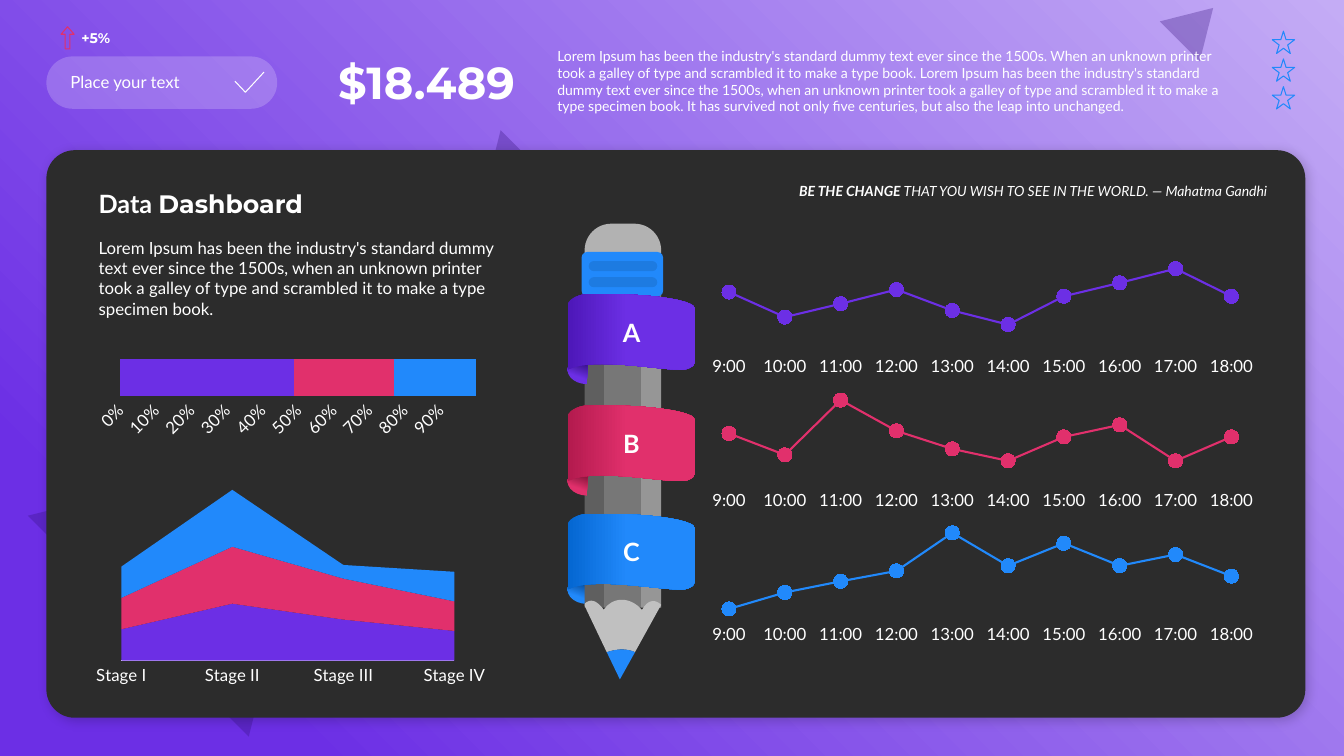
"""Build a data dashboard slide with a pencil diagram and five charts."""
import pptx
import pptx.chart.data
import pptx.dml.color
import pptx.enum.chart
import pptx.enum.shapes
import pptx.enum.text
import pptx.oxml
import pptx.oxml.ns
import pptx.util

Pt = pptx.util.Pt
SHAPES = pptx.enum.shapes.MSO_SHAPE
ALIGN = pptx.enum.text.PP_ALIGN
ANCHOR = pptx.enum.text.MSO_ANCHOR
CHARTS = pptx.enum.chart.XL_CHART_TYPE
TICKS = pptx.enum.chart.XL_TICK_MARK

WIDTH, HEIGHT = 960, 540
PURPLE, PINK, BLUE = "6C2FE5", "E1306C", "2189FB"
WHITE, BLACK, DARK, INDIGO = "FFFFFF", "000000", "2C2C2C", "330F7B"
PALETTE = [PURPLE, PINK, BLUE]

INTRO = ("Lorem Ipsum has been the industry's standard dummy text ever since the 1500s. When an unknown "
         "printer took a galley of type and scrambled it to make a type book. ")
BODY = ("Lorem Ipsum has been the industry's standard dummy text ever since the 1500s, when an unknown "
        "printer took a galley of type and scrambled it to make a type specimen book.")
CLOSING = " It has survived not only five centuries, but also the leap into unchanged."

TRIANGLES = [((52.6, 289.4, 223.2, 185), 45), ((329, 108, 64.8, 54), 225), ((834.5, 0.7, 40.3, 33.8), 45)]

HEADER_TEXTS = [
    ((43.2, 47.5, 135.4, 21.6), [("Place your text", "Lato", False)], 12, {}),
    ((229.7, 35.3, 145.4, 46.1), [("$18.489", "Montserrat", True)], 32, {"align": ALIGN.RIGHT}),
    ((391, 30.2, 502.6, 55.4), [(INTRO + BODY + CLOSING, "Lato", False)], 10, {"after": 6}),
    ((53.3, 17.3, 30.2, 19.4), [("+5%", "Montserrat", True)], 10,
     {"align": ALIGN.CENTER, "anchor": ANCHOR.TOP, "inset": 0}),
]
PANEL_TEXTS = [
    ((63.4, 166.3, 311.8, 65.5), [(BODY, "Lato", False)], 12, {"anchor": ANCHOR.TOP}),
    ((63.4, 131, 311.8, 28.8), [("Data ", "Lato", True), ("Dashboard", "Montserrat", True)], 18,
     {"anchor": ANCHOR.BOTTOM}),
    ((403.2, 126.7, 504.7, 19.4),
     [("BE THE CHANGE ", "Lato", True),
      ("THAT YOU WISH TO SEE IN THE WORLD. ― Mahatma Gandhi", "Lato", False)], 10,
     {"align": ALIGN.RIGHT, "inset": 2.9, "italic": True}),
]

STAGES = ["Stage I", "Stage II", "Stage III", "Stage IV"]
STAGE_VALUES = [[55, 100, 72, 52], [55, 100, 72, 52], [55, 100, 24, 52]]
SHARES = [[49], [28], [23]]
HOURS = [f"{hour}:00" for hour in range(9, 19)]
TRENDS = [
    ([72, 42, 58, 75, 50, 33, 67, 83, 100, 67], 120),
    ([61, 36, 100, 64, 43, 29, 57, 71, 29, 57], 117),
    ([12, 31, 44, 56, 100, 62, 88, 62, 75, 50], 116),
]

RIBBONS = [("A", 210.2, PURPLE, "4D17B8", INDIGO), ("B", 289.8, PINK, "B31A4E", "771134"),
           ("C", 367.2, BLUE, "0466D1", "03448B")]
RIBBON_LEFT = 405.4
RIBBON_OUTLINE = [(91.4, 10.8), (92.2, 2.9, 48.2, -1.4, 12.2, 0), (6.5, 0.7, 0, 4.3, 0, 7.9), (0, 54),
                  (15.8, 44.6, 65.5, 54, 80.6, 54), (86.4, 54, 91.4, 51.1, 91.4, 47.5)]
PENCIL_BLOCKS = [
    (SHAPES.RECTANGLE, (457.9, 208, 14.4, 226), "969696", 100, None),
    (SHAPES.RECTANGLE, (431.3, 208, 26.6, 226), "777777", 100, None),
    (SHAPES.RECTANGLE, (417.6, 208, 13.7, 226), "5F5F5F", 100, None),
    (SHAPES.RECTANGLE, (417.6, 205.2, 54.7, 10.1), BLACK, 20, None),
    (SHAPES.ROUNDED_RECTANGLE, (417.6, 159.8, 54.7, 38.2), "B2B2B2", 100, 0.5),
    (SHAPES.ROUNDED_RECTANGLE, (415.4, 180, 58.3, 31.7), BLUE, 100, 0.13),
    (SHAPES.ROUNDED_RECTANGLE, (420.5, 186.5, 49, 7.2), BLACK, 10, 0.5),
    (SHAPES.ROUNDED_RECTANGLE, (420.5, 198, 49, 7.2), BLACK, 10, 0.5),
]
WOOD = [(422.6, 429.1), (427, 429.1, 431.3, 435.6, 431.3, 435.6), (432.7, 433.4, 437, 428.4, 444.2, 428.4),
        (451.4, 428.4, 456.5, 433.4, 457.9, 434.9), (458.6, 435.6), (465.1, 424.1, 472.3, 432, 472.3, 432),
        (453.6, 465.8), (444.2, 461.5, 434.2, 465.8, 433.4, 465.8), (417.6, 432.7), (417.6, 431.3),
        (418.3, 430.6, 419.8, 429.1, 422.6, 429.1)]
LEAD = [(453.6, 465.8), (442.8, 485.3), (433.4, 465.8), (434.2, 465.8, 444.2, 461.5, 453.6, 465.8)]
CHECK = [(167.8, 58), (175.3, 65.9), (188.6, 51.5)]


def rgb(colour):
    return pptx.dml.color.RGBColor.from_string(colour)


def xml(tag, attributes="", content=""):
    prefix = tag.split(":")[0]
    return pptx.oxml.parse_xml(f"<{tag} {pptx.oxml.ns.nsdecls(prefix)} {attributes}>{content}</{tag}>")


def paint(shape, colour=None, alpha=100, line=None):
    shape.shadow.inherit = False
    if colour:
        shape.fill.solid()
        shape.fill.fore_color.rgb = rgb(colour)
        if alpha < 100:
            shape._element.spPr.find(".//" + pptx.oxml.ns.qn("a:srgbClr")).append(
                xml("a:alpha", f'val="{alpha * 1000}"'))
    else:
        shape.fill.background()
    if line:
        shape.line.color.rgb = rgb(line)
        shape.line.width = Pt(0.75)
    else:
        shape.line.fill.background()
    return shape


def add_block(kind, box, colour=None, alpha=100, line=None, adjustments=()):
    shape = slide.shapes.add_shape(kind, *map(Pt, box))
    for index, value in enumerate(adjustments):
        shape.adjustments[index] = value
    return paint(shape, colour, alpha, line)


def add_gradient(shape, stops, direction):
    marks = "".join(f'<a:gs pos="{position * 1000}"><a:srgbClr val="{colour}"/></a:gs>'
                    for position, colour in stops)
    solid = shape._element.spPr.find(pptx.oxml.ns.qn("a:solidFill"))
    solid.getparent().replace(solid, xml("a:gradFill", 'rotWithShape="1"', f"<a:gsLst>{marks}</a:gsLst>{direction}"))


def add_outline(steps, left=0, top=0, close=True):
    """Draw an outline whose steps are points (two numbers) or cubic curves (six)."""
    points = [steps[0]]
    for step in steps[1:]:
        if len(step) == 2:
            points.append(step)
            continue
        knots = [points[-1], step[:2], step[2:4], step[4:]]
        for part in range(1, 13):
            t = part / 12
            weights = ((1 - t) ** 3, 3 * t * (1 - t) ** 2, 3 * t * t * (1 - t), t ** 3)
            points.append(tuple(sum(w * knot[axis] for w, knot in zip(weights, knots)) for axis in (0, 1)))
    places = [(Pt(left + x), Pt(top + y)) for x, y in points]
    builder = slide.shapes.build_freeform(*places[0], scale=1.0)
    builder.add_line_segments(places[1:], close=close)
    return builder.convert_to_shape()


def write(shape, runs, size, align=ALIGN.LEFT, anchor=ANCHOR.MIDDLE, inset=7.2, after=0, italic=False):
    frame = shape.text_frame
    frame.word_wrap = True
    frame.vertical_anchor = anchor
    frame.margin_left = frame.margin_right = Pt(inset)
    paragraph = frame.paragraphs[0]
    paragraph.alignment = align
    paragraph.space_after = Pt(after)
    for text, font, bold in runs:
        run = paragraph.add_run()
        run.text = text
        run.font.name, run.font.size, run.font.bold, run.font.italic = font, Pt(size), bold, italic
        run.font.color.rgb = rgb(WHITE)


def add_texts(texts):
    for box, runs, size, options in texts:
        write(slide.shapes.add_textbox(*map(Pt, box)), runs, size, **options)


def add_chart(kind, box, categories, rows, colours, maximum, layout):
    data = pptx.chart.data.CategoryChartData()
    data.categories = categories
    for number, values in enumerate(rows, 1):
        data.add_series(f"Series {number}", values)
    chart = slide.shapes.add_chart(kind, *map(Pt, box), data).chart
    chart.has_legend = chart.has_title = False
    chart.font.name, chart.font.size = "Lato", Pt(12)
    chart.font.color.rgb = rgb(WHITE)
    for axis in (chart.category_axis, chart.value_axis):
        axis.has_major_gridlines = False
        axis.major_tick_mark = axis.minor_tick_mark = TICKS.NONE
        axis.format.line.fill.background()
    chart.value_axis.minimum_scale, chart.value_axis.maximum_scale = 0, maximum
    chart.value_axis.visible = False
    chart.plots[0].vary_by_categories = False
    for series, colour in zip(chart.plots[0].series, colours):
        if kind == CHARTS.LINE_MARKERS:
            series.smooth = False
            series.format.line.color.rgb = rgb(colour)
            series.format.line.width = Pt(1.5)
            series.marker.style = pptx.enum.chart.XL_MARKER_STYLE.CIRCLE
            series.marker.size = 10
            series.marker.format.fill.solid()
            series.marker.format.fill.fore_color.rgb = rgb(colour)
            series.marker.format.line.color.rgb = rgb(colour)
        else:
            series.format.fill.solid()
            series.format.fill.fore_color.rgb = rgb(colour)
    area = chart._chartSpace.chart.plotArea
    for old in area.findall(pptx.oxml.ns.qn("c:layout")):
        area.remove(old)
    parts = '<c:layoutTarget val="inner"/><c:xMode val="edge"/><c:yMode val="edge"/>' + "".join(
        f'<c:{name} val="{value}"/>' for name, value in zip("xywh", layout))
    area.insert(0, xml("c:layout", "", f"<c:manualLayout>{parts}</c:manualLayout>"))
    return chart


def add_fold(letter, top, light, dark, deep):
    fold = add_block(SHAPES.CHORD, (RIBBON_LEFT, top + 44, 28.1, 20.2), light, adjustments=(54.61, 162))
    add_gradient(fold, [(27, light), (69, deep)], '<a:lin ang="17400000" scaled="0"/>')


def add_ribbon(letter, top, light, dark, deep):
    ribbon = paint(add_outline(RIBBON_OUTLINE, RIBBON_LEFT, top), light)
    add_gradient(ribbon, [(0, dark), (47, light)], '<a:lin ang="0" scaled="0"/>')
    write(ribbon, [(letter, "Lato", True)], 18, ALIGN.CENTER)


presentation = pptx.Presentation()
presentation.slide_width, presentation.slide_height = Pt(WIDTH), Pt(HEIGHT)
slide = presentation.slides.add_slide(presentation.slide_layouts[6])
slide.background.fill.solid()
slide.background.fill.fore_color.rgb = rgb(DARK)

backdrop = add_block(SHAPES.RECTANGLE, (0, 0, WIDTH, HEIGHT), PURPLE)
add_gradient(backdrop, [(0, "C4ACF5"), (85, PURPLE)],
             '<a:path path="circle"><a:fillToRect l="100000" b="100000"/></a:path>')
for box, angle in TRIANGLES:
    add_block(SHAPES.ISOSCELES_TRIANGLE, box, INDIGO, 30).rotation = angle

add_block(SHAPES.ROUNDED_RECTANGLE, (33.1, 40.3, 164.9, 37.4), WHITE, 20, adjustments=(0.5,))
paint(add_outline(CHECK, close=False), line=WHITE)
add_texts(HEADER_TEXTS)
add_block(SHAPES.UP_ARROW, (43.6, 19.1, 9.4, 15.8), line=PINK, adjustments=(0.36, 0.57))
for row in range(3):
    add_block(SHAPES.STAR_5_POINT, (908.8, 22.3 + 19.8 * row, 16, 16), line=BLUE)

panel = add_block(SHAPES.ROUNDED_RECTANGLE, (33.1, 107.3, 899.3, 405.4), DARK, adjustments=(0.05,))
panel._element.spPr.find(pptx.oxml.ns.qn("a:effectLst")).append(
    xml("a:outerShdw", 'blurRad="101600" dist="38100" dir="2700000" algn="tl" rotWithShape="0"',
        '<a:srgbClr val="000000"><a:alpha val="20000"/></a:srgbClr>'))
add_texts(PANEL_TEXTS)

stages = add_chart(CHARTS.AREA_STACKED, (63.4, 334.1, 290.2, 158.4), STAGES, STAGE_VALUES, PALETTE, 300,
                   (0.08, 0.1, 0.82, 0.77))
stages.category_axis.format.line.color.rgb = rgb(WHITE)
stages.category_axis.format.line.width = Pt(0.75)
shares = add_chart(CHARTS.BAR_STACKED_100, (62.6, 254.2, 288.7, 64.1), ["1"], SHARES, PALETTE, 1,
                   (0.08, 0.03, 0.88, 0.42))
shares.plots[0].gap_width, shares.plots[0].overlap = 0, 100
shares.category_axis.visible, shares.value_axis.visible = False, True
shares.value_axis.major_unit = 0.1
shares.value_axis.tick_labels.number_format = "0%"
shares.value_axis.tick_labels.number_format_is_linked = False
shares.value_axis.tick_labels.font.size = Pt(12)
shares.value_axis._element.find(".//" + pptx.oxml.ns.qn("a:bodyPr")).set("rot", "-2700000")

add_fold(*RIBBONS[-1])
for kind, box, colour, alpha, corner in PENCIL_BLOCKS:
    add_block(kind, box, colour, alpha, adjustments=(corner,) if corner else ())
paint(add_outline(WOOD), "C0C0C0")
paint(add_outline(LEAD), BLUE)
add_ribbon(*RIBBONS[-1])
for ribbon in RIBBONS[-2::-1]:
    add_fold(*ribbon)
    add_ribbon(*ribbon)

for row, (values, maximum) in enumerate(TRENDS):
    add_chart(CHARTS.LINE_MARKERS, (492.5, 180 + 95.4 * row, 415.4, 90.7), HOURS, [values], [PALETTE[row]],
              maximum, (0.02, 0, 0.96, 0.79))

presentation.save("out.pptx")
